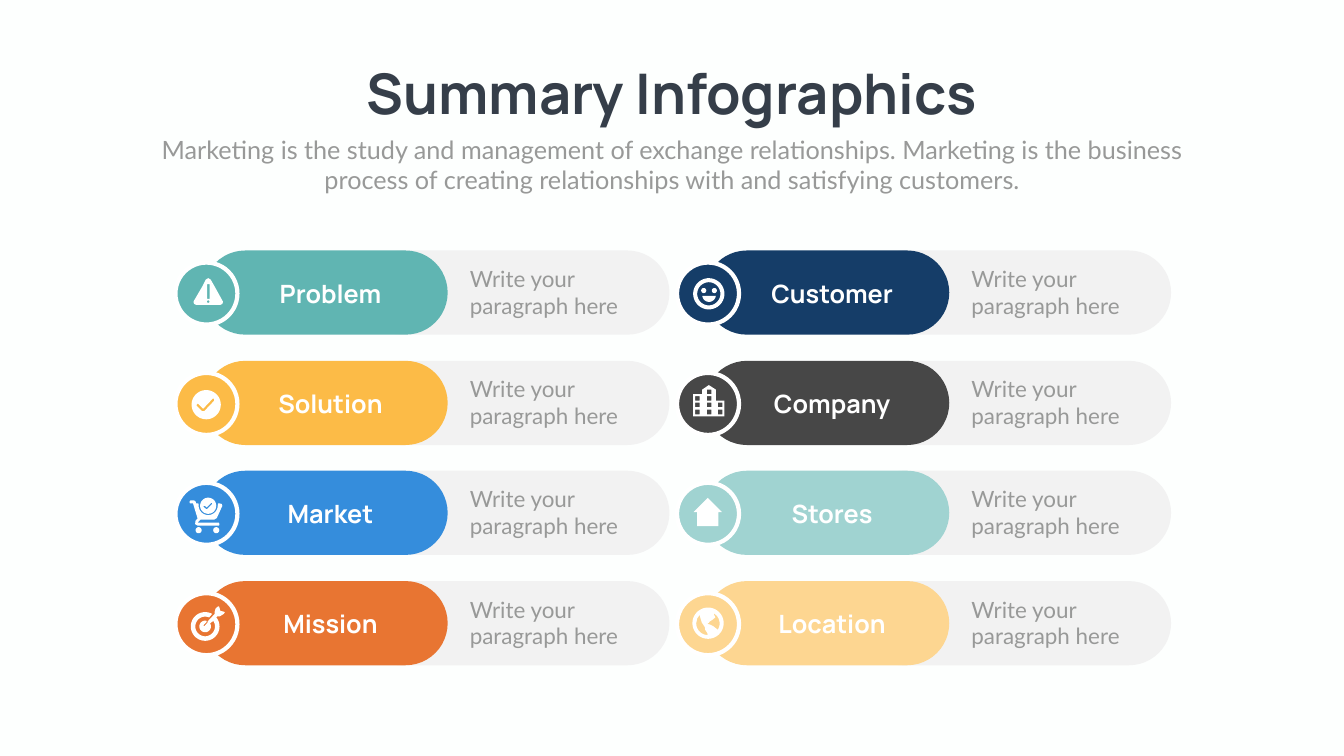
"""Build the Summary Infographics slide: eight labelled pills with icon badges."""
from math import cos, radians, sin

from pptx import Presentation
from pptx.dml.color import RGBColor
from pptx.enum.shapes import MSO_SHAPE
from pptx.enum.text import MSO_ANCHOR, MSO_AUTO_SIZE, PP_ALIGN
from pptx.util import Pt

PX = 9144
PILL, CIRCLE = MSO_SHAPE.ROUNDED_RECTANGLE, MSO_SHAPE.OVAL
LEFT, CENTER = PP_ALIGN.LEFT, PP_ALIGN.CENTER
TOP, GROW = MSO_ANCHOR.TOP, MSO_AUTO_SIZE.SHAPE_TO_FIT_TEXT

WHITE, TRACK = "FFFFFF", "F2F2F2"
TITLE_FONT = {"name": "Manrope", "size": Pt(80), "bold": True}
INTRO_FONT = {"name": "Lato", "size": Pt(36), "bold": False}
LABEL_FONT = {"name": "Manrope", "size": Pt(36), "bold": True}
NOTE_FONT = {"name": "Lato", "size": Pt(32), "bold": False}
INK, GREY = "353E49", "989998"

INTRO = ("Marketing is the study and management of exchange relationships. "
         "Marketing is the business process of creating relationships with "
         "and satisfying customers.")
NOTE = "Write your paragraph here"
FIRST_LEFT, COLUMN_STEP = 348, 995
FIRST_TOP, LAST_TOP, ROWS = 497, 1153, 4


def px(*lengths):
    """Turn px lengths into EMU."""
    return [round(length * PX) for length in lengths]


def color(hex_value):
    """Turn a hex string into a colour."""
    return RGBColor.from_string(hex_value)


def arc(cx, cy, radius, start, end):
    """Return points along an arc, with angles in degrees clockwise from the right."""
    steps = max(8, round(abs(end - start) / 8))
    angles = [radians(start + (end - start) * i / steps) for i in range(steps + 1)]
    return [(cx + radius * cos(a), cy + radius * sin(a)) for a in angles]


def disc(cx, cy, radius):
    """Return the outline of a circle."""
    return arc(cx, cy, radius, 0, 360)


def box(left, top, width, height):
    """Return the outline of a rectangle."""
    right, bottom = left + width, top + height
    return [(left, top), (right, top), (right, bottom), (left, bottom)]


def warning_icon():
    """Return a warning triangle."""
    triangle = [(94, 77), (78, 48), (70, 34), (67, 32), (65, 31), (63, 32),
                (60, 34), (53, 48), (36, 77), (36, 79), (37, 82), (41, 84),
                (89, 84), (93, 82), (94, 79)]
    return [[triangle, disc(65, 77.5, 2.5), box(63, 43, 5, 29)]]


def check_icon():
    """Return a disc with a tick."""
    tick = [(77, 55), (57, 76), (53, 76), (42, 65), (42, 63), (44, 61),
            (45, 61), (55, 71), (74, 51), (76, 51), (77, 53)]
    return [[disc(61, 63, 29), tick]]


def cart_icon():
    """Return a shopping cart holding a ticked disc."""
    cart = [(88, 41), (85, 41), (84, 42), *arc(65, 45, 19, 0, 180), (46, 42),
            (45, 41), (41, 41), (40, 37), (37, 35), (30, 35), (28, 37),
            (28, 40), (30, 41), (35, 41), (44, 71), (40, 75), (39, 82),
            (44, 85), (86, 85), (87, 84), (87, 81), (86, 79), (44, 79),
            (50, 73), (77, 73), (82, 70), (92, 48), (93, 46), (92, 42)]
    tick = [(56, 46), (59, 46), (62, 49), (71, 40), (73, 40), (73, 42),
            (63, 52), (61, 52), (56, 48)]
    return [[cart], [disc(46, 94, 6)], [disc(81, 94, 6)],
            [disc(65, 45.5, 16), tick]]


def target_icon():
    """Return a target hit by a dart."""
    return [[[(98, 38), (97, 37), (89, 35), (87, 27), (86, 26), (85, 26),
              (80, 30), (78, 36), (78, 41), (64, 56), (64, 58), (58, 65),
              (56, 65), (56, 63), (62, 57), *arc(59, 66, 11.5, -75, -393),
              *arc(59, 66, 19.5, -34, 294), *arc(59, 66, 28.5, -61, -399),
              (83, 46), (88, 46), (96, 41)]]]


def smile_icon():
    """Return a smiling face."""
    ring = [disc(63, 62, 31), disc(63, 62, 23)]
    return [[disc(53, 55.5, 5)], [disc(74, 55.5, 5)], ring,
            [arc(63.5, 64.5, 13.5, 6, 174)]]


def building_icon():
    """Return an office building with three columns of windows."""
    outline = [(77, 55), (77, 33), (63, 24), (50, 33), (50, 42), (32, 42),
               (32, 86), (94, 86), (94, 55)]
    floors = [33, 46, 59, 73]
    columns = {36: floors[1:], 59: floors, 81: floors[2:]}
    windows = [box(x, y, 9, 9) for x, tops in columns.items() for y in tops]
    return [[outline, *windows]]


def house_icon():
    """Return a house."""
    return [[[(89, 58), (61, 30), (33, 58), (40, 58), (40, 86), (82, 86), (82, 58)]]]


def globe_icon():
    """Return a globe with two land masses cut out."""
    west = [(40, 50), (45, 43), (46, 46), (46, 48), (49, 58), (51, 61),
            (55, 67), (56, 73), (60, 79), *arc(61, 60, 23, 90, 180)]
    east = [(75, 68), (71, 65), (65, 62), (63, 62), (60, 59), (63, 59),
            (65, 56), (70, 53), (76, 48), (73, 42), *arc(61.5, 60, 23, -59, 33)]
    return [[disc(61.5, 59.5, 31), west, east]]


COLUMNS = [
    [("Problem", "60B5B2", warning_icon), ("Solution", "FCBB47", check_icon),
     ("Market", "358DDC", cart_icon), ("Mission", "E87532", target_icon)],
    [("Customer", "153D68", smile_icon), ("Company", "474747", building_icon),
     ("Stores", "A0D3D1", house_icon), ("Location", "FDD691", globe_icon)],
]


def write(holder, words, font, ink, align, wrap=True):
    """Put one formatted paragraph in a text holder."""
    frame = holder.text_frame
    frame.text = words
    layout = {"word_wrap": wrap, "auto_size": GROW, "vertical_anchor": TOP}
    for key, value in layout.items():
        setattr(frame, key, value)
    paragraph = frame.paragraphs[0]
    paragraph.alignment = align
    for key, value in font.items():
        setattr(paragraph.runs[0].font, key, value)
    paragraph.runs[0].font.color.rgb = color(ink)


def add_text(slide, place, words, font, ink, align):
    """Add a wrapped text box."""
    write(slide.shapes.add_textbox(*px(*place)), words, font, ink, align)


def paint(shape, fill):
    """Give a shape a flat fill without line or shadow."""
    shape.shadow.inherit = False
    shape.fill.solid()
    shape.fill.fore_color.rgb = color(fill)
    shape.line.fill.background()


def add_pill(slide, place, fill):
    """Add a bar with fully rounded ends."""
    pill = slide.shapes.add_shape(PILL, *px(*place))
    pill.adjustments[0] = 0.5
    paint(pill, fill)


def add_badge(slide, left, top, fill):
    """Add a white-rimmed circle for an icon."""
    badge = slide.shapes.add_shape(CIRCLE, *px(left, top, 123, 123))
    paint(badge, fill)
    badge.line.color.rgb = color(WHITE)
    badge.line.width = Pt(6)


def add_icon(slide, left, top, parts):
    """Draw each icon part as one white freeform; inner outlines become holes."""
    for outlines in parts:
        placed = [[px(left + x, top + y) for x, y in outline] for outline in outlines]
        builder = slide.shapes.build_freeform(*placed[0][0], scale=1.0)
        builder.add_line_segments(placed[0][1:], close=True)
        for hole in placed[1:]:
            builder.move_to(*hole[0])
            builder.add_line_segments(hole[1:], close=True)
        paint(builder.convert_to_shape(), WHITE)


def add_entry(slide, left, top, label, fill, icon):
    """Add one topic: track, coloured pill, label, note and icon badge."""
    add_pill(slide, (left + 364, top, 616, 167), TRACK)
    add_pill(slide, (left + 55, top, 485, 167), fill)
    add_text(slide, (left + 107, top + 50, 401, 71), label, LABEL_FONT, WHITE, CENTER)
    add_badge(slide, left, top + 24, fill)
    add_text(slide, (left + 574, top + 24, 364, 118), NOTE, NOTE_FONT, GREY, LEFT)
    add_icon(slide, left, top + 24, icon())


def main():
    """Build and save the slide."""
    deck = Presentation()
    deck.slide_width, deck.slide_height = px(2666, 1500)
    slide = deck.slides.add_slide(deck.slide_layouts[5])
    slide.background.fill.solid()
    slide.background.fill.fore_color.rgb = color("FDFFFE")
    title = slide.shapes.title
    title.left, title.top, title.width, title.height = px(654, 112, 1358, 145)
    write(title, "Summary Infographics", TITLE_FONT, INK, CENTER, wrap=False)
    add_text(slide, (292, 261, 2082, 131), INTRO, INTRO_FONT, GREY, CENTER)
    for column, entries in enumerate(COLUMNS):
        for row, entry in enumerate(entries):
            top = FIRST_TOP + round((LAST_TOP - FIRST_TOP) * row / (ROWS - 1))
            add_entry(slide, FIRST_LEFT + column * COLUMN_STEP, top, *entry)
    deck.save("out.pptx")


if __name__ == "__main__":
    main()
